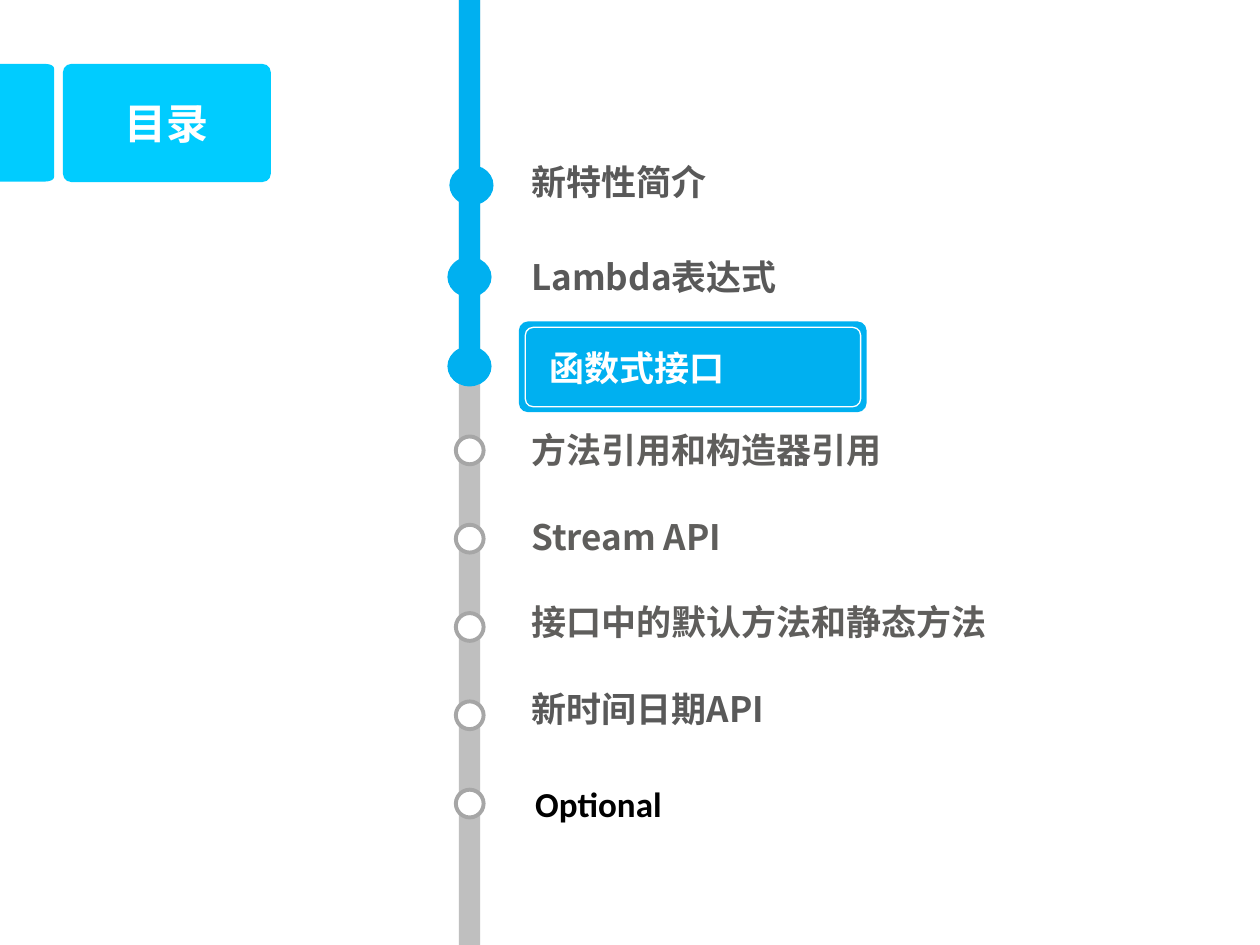
"""Build a table-of-contents slide with a vertical progress line."""
from math import cos, pi, sin

from lxml import etree
from pptx import Presentation
from pptx.dml.color import RGBColor
from pptx.enum.shapes import MSO_SHAPE
from pptx.enum.text import MSO_ANCHOR, MSO_AUTO_SIZE, PP_ALIGN
from pptx.oxml.ns import qn
from pptx.util import Cm, Pt

RECTANGLE, OVAL, ROUNDED = MSO_SHAPE.RECTANGLE, MSO_SHAPE.OVAL, MSO_SHAPE.ROUNDED_RECTANGLE
LEFT, CENTER = PP_ALIGN.LEFT, PP_ALIGN.CENTER
TOP, GROW = MSO_ANCHOR.TOP, MSO_AUTO_SIZE.SHAPE_TO_FIT_TEXT
TITLE_ONLY = 5

COLORS = {
    "cyan": "00CCFF", "blue": "00B0F0", "track": "BFBFBF", "ring": "A6A6A6",
    "white": "FFFFFF", "gray": "595959", "warm": "5F5E5C", "black": "000000",
}
JP, SC, CALIBRI = "Noto Sans CJK JP", "Noto Sans CJK SC", "Calibri"

TITLE = "目录"
# text, left, top, width, font, color
TOPICS = [
    ("新特性简介", 10.46, 3.12, 7.87, JP, "gray"),
    ("Lambda表达式", 10.46, 5.03, 7.87, JP, "gray"),
    ("方法引用和构造器引用", 10.46, 8.51, 11.33, SC, "warm"),
    ("Stream API", 10.46, 10.26, 6.6, SC, "warm"),
    ("接口中的默认方法和静态方法", 10.46, 11.99, 10.06, SC, "warm"),
    ("新时间日期API", 10.46, 13.74, 7.87, JP, "gray"),
    ("Optional", 10.54, 15.65, 6.6, CALIBRI, "black"),
]
CURRENT_TOPIC = ("函数式接口", 10.82, 6.86, 6.6, JP, "white")
REACHED_DOTS = [(9.06, 3.33), (9.02, 5.18), (9.02, 6.98)]
RING_COUNT, RING_TOP, RING_PITCH = 5, 8.8, 1.78
LABEL_HEIGHT = 1.12


def color(name):
    return RGBColor.from_string(COLORS[name])


def paint(shape, fill=None, line=None, weight=1):
    shape.shadow.inherit = False
    if fill:
        shape.fill.solid()
        shape.fill.fore_color.rgb = color(fill)
    else:
        shape.fill.background()
    if line:
        shape.line.color.rgb = color(line)
        shape.line.width = Pt(weight)
    else:
        shape.line.fill.background()


def add_box(shapes, kind, box, radius=None, **style):
    shape = shapes.add_shape(kind, *map(Cm, box))
    if radius is not None:
        shape.adjustments[0] = radius
    paint(shape, **style)


def write(shape, text, font=CALIBRI, size=20, fill="black", align=LEFT):
    frame = shape.text_frame
    frame.text = text
    frame.word_wrap = True
    frame.auto_size = GROW
    frame.vertical_anchor = TOP
    paragraph = frame.paragraphs[0]
    paragraph.alignment = align
    run = paragraph.runs[0]
    run.font.name = font
    run.font.size = Pt(size)
    run.font.bold = True
    run.font.color.rgb = color(fill)
    east_asian = etree.SubElement(run.font._element, qn("a:ea"))
    east_asian.set("typeface", SC if font == CALIBRI else font)


def add_label(shapes, text, left, top, width, font, fill):
    label = shapes.add_textbox(Cm(left), Cm(top), Cm(width), Cm(LABEL_HEIGHT))
    write(label, text, font=font, fill=fill)


def add_edge_tab(shapes, top=1.29, bottom=3.66, right=1.09, radius_x=0.17, radius_y=0.09):
    angles = [step * pi / 12 for step in range(7)]
    upper = [(right - radius_x + radius_x * sin(angle), top + radius_y - radius_y * cos(angle))
             for angle in angles]
    lower = [(x, top + bottom - y) for x, y in reversed(upper)]
    builder = shapes.build_freeform(Cm(0), Cm(top))
    builder.add_line_segments([(Cm(x), Cm(y)) for x, y in upper + lower + [(0, bottom)]])
    paint(builder.convert_to_shape(), fill="cyan")


def add_title(slide):
    add_edge_tab(slide.shapes)
    add_box(slide.shapes, ROUNDED, (1.27, 1.29, 4.19, 2.38), radius=0.07, fill="cyan")
    title = slide.shapes.title
    title.left, title.top, title.width, title.height = map(Cm, (1.27, 1.83, 4.19, 1.27))
    write(title, TITLE, size=24, fill="white", align=CENTER)
    slide.shapes._spTree.append(title._element)


def add_progress_line(shapes):
    add_box(shapes, RECTANGLE, (9.25, 0, 0.43, 19.05), fill="track")
    add_box(shapes, RECTANGLE, (9.25, 0, 0.43, 7.34), fill="blue")
    for left, top in REACHED_DOTS:
        add_box(shapes, OVAL, (left, top, 0.89, 0.81), fill="blue")
    for index in range(RING_COUNT):
        top = RING_TOP + index * RING_PITCH
        add_box(shapes, OVAL, (9.19, top, 0.56, 0.56), fill="white", line="ring", weight=2.25)


def add_topics(shapes):
    for topic in TOPICS:
        add_label(shapes, *topic)
    highlight = shapes.add_group_shape().shapes
    add_box(highlight, ROUNDED, (10.46, 6.48, 7.01, 1.83), radius=0.1, fill="blue")
    add_label(highlight, *CURRENT_TOPIC)
    add_box(highlight, ROUNDED, (10.59, 6.6, 6.76, 1.6), radius=0.1, line="white", weight=0.75)


def main():
    presentation = Presentation()
    presentation.slide_width, presentation.slide_height = Cm(25.4), Cm(19.05)
    slide = presentation.slides.add_slide(presentation.slide_layouts[TITLE_ONLY])
    add_title(slide)
    add_progress_line(slide.shapes)
    add_topics(slide.shapes)
    presentation.save("out.pptx")


if __name__ == "__main__":
    main()
